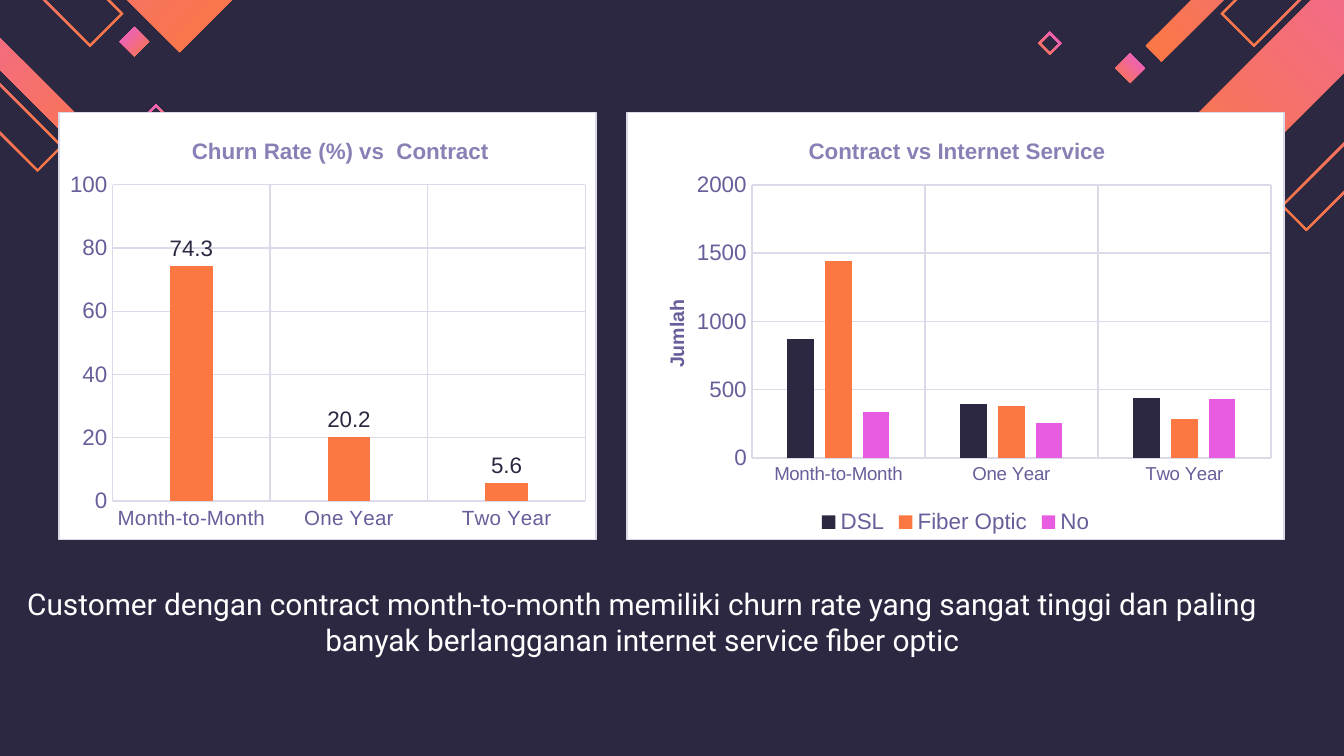
from lxml import etree
from pptx import Presentation
from pptx.chart.data import CategoryChartData
from pptx.dml.color import RGBColor
from pptx.enum.chart import XL_CHART_TYPE, XL_LABEL_POSITION, XL_LEGEND_POSITION, XL_TICK_MARK
from pptx.enum.text import MSO_ANCHOR, PP_ALIGN
from pptx.oxml import parse_xml
from pptx.oxml.ns import nsdecls, qn
from pptx.util import Cm, Pt

COLUMNS = XL_CHART_TYPE.COLUMN_CLUSTERED
NO_TICKS = XL_TICK_MARK.NONE
LABEL_ABOVE = XL_LABEL_POSITION.OUTSIDE_END
LEGEND_BELOW = XL_LEGEND_POSITION.BOTTOM
CENTER = PP_ALIGN.CENTER
MIDDLE = MSO_ANCHOR.MIDDLE

NAVY = RGBColor(0x2D, 0x28, 0x42)
ORANGE = RGBColor(0xFB, 0x78, 0x43)
GRADIENT_PINK = RGBColor(0xE8, 0x5C, 0xDB)
PINK = RGBColor(0xE8, 0x5C, 0xE2)
PURPLE = RGBColor(0x69, 0x5D, 0x9A)
TITLE_PURPLE = RGBColor(0x8A, 0x80, 0xB5)
LILAC = RGBColor(0xDC, 0xD9, 0xE8)
WHITE = RGBColor(0xFF, 0xFF, 0xFF)

CHART_FONT = "Arial"
CONTRACTS = ["Month-to-Month", "One Year", "Two Year"]

# Diagonal bands: long arm, short arm (cm), hollow
WIDE = (6.65, 0.99, False)
FRAME = (4.95, 0.63, True)
SLIM = (5.97, 0.3, False)
LONG_FRAME = (5.64, 0.48, True)
SMALL_FRAME = (0.22, 0.22, True)
DIAMOND = (0.28, 0.28, False)
FRAME_WIDTH = 0.05

# Lowest corner of each band (cm)
LEFT_BANDS = [(3.4, 0.99, WIDE), (1.7, 0.89, FRAME), (2.06, 3.38, SLIM),
              (0.71, 3.25, LONG_FRAME), (2.95, 2.41, SMALL_FRAME), (2.54, 1.07, DIAMOND)]
RIGHT_BANDS = [(23.09, 3.68, WIDE), (23.7, 0.89, FRAME), (21.95, 1.17, SLIM),
               (24.69, 4.37, LONG_FRAME), (19.84, 1.04, SMALL_FRAME), (21.36, 1.57, DIAMOND)]


def band_corners(x, y, long_arm, short_arm, side):
    """Corners of a 45-degree rectangle; side 1 leans left, -1 leans right."""
    corners = [(x, y), (x - side * long_arm, y - long_arm),
               (x - side * (long_arm - short_arm), y - long_arm - short_arm),
               (x + side * short_arm, y - short_arm)]
    return [(Cm(across), Cm(down)) for across, down in corners]


def add_band(page, x, y, kind, side):
    long_arm, short_arm, hollow = kind
    outer = band_corners(x, y, long_arm, short_arm, side)
    builder = page.shapes.build_freeform(*outer[0])
    builder.add_line_segments(outer[1:], close=True)
    if hollow:
        inner = band_corners(x, y - FRAME_WIDTH, long_arm - FRAME_WIDTH,
                             short_arm - FRAME_WIDTH, side)
        builder.move_to(*inner[0])
        builder.add_line_segments(inner[1:], close=True)
    band = builder.convert_to_shape()
    band.shadow.inherit = False
    band.line.fill.background()
    band.fill.gradient()
    band.fill.gradient_angle = 135 if side == 1 else 45
    for stop, color, position in zip(band.fill.gradient_stops, (ORANGE, GRADIENT_PINK), (0, 1)):
        stop.color.rgb = color
        stop.position = position


def style_font(font, size, color, bold=False, name=CHART_FONT):
    font.size, font.bold, font.name = Pt(size), bold, name
    font.color.rgb = color


def layout_xml(x, y, size=None):
    """Manual layout in fractions of the chart; a size fixes the inner plot."""
    values = [("xMode", "edge"), ("yMode", "edge"), ("x", x), ("y", y)]
    if size:
        values = [("layoutTarget", "inner"), *values, ("w", size[0]), ("h", size[1])]
    layout = parse_xml(f"<c:layout {nsdecls('c')}><c:manualLayout/></c:layout>")
    for tag, value in values:
        etree.SubElement(layout[0], qn(f"c:{tag}")).set("val", str(value))
    return layout


def place(element, index, layout):
    for old in element.findall(qn("c:layout")):
        element.remove(old)
    element.insert(index, layout)


def set_title(title, text, size, color, x, y):
    span = title.text_frame.paragraphs[0].add_run()
    span.text = text
    style_font(span.font, size, color, bold=True)
    place(title._element, 1, layout_xml(x, y))


def style_axis(axis, size):
    axis.major_tick_mark = axis.minor_tick_mark = NO_TICKS
    axis.has_major_gridlines = True
    axis.major_gridlines.format.line.color.rgb = LILAC
    axis.major_gridlines.format.line.width = Pt(0.75)
    style_font(axis.tick_labels.font, size, PURPLE)


def add_column_chart(page, left, width, title, title_x, series, plot, top_value, step, label_size):
    data = CategoryChartData()
    data.categories = CONTRACTS
    for name, values, _ in series:
        data.add_series(name, values)
    chart = page.shapes.add_chart(COLUMNS, Cm(left), Cm(2.11), Cm(width), Cm(8.1), data).chart
    style_font(chart.font, 10, NAVY)
    chart.has_legend = False
    chart.has_title = True
    set_title(chart.chart_title, title, 12, TITLE_PURPLE, title_x, 0.05)

    # Columns
    columns = chart.plots[0]
    columns.gap_width, columns.overlap = 267, -43
    columns.vary_by_categories = False
    for column, (_, _, color) in zip(columns.series, series):
        column.format.fill.solid()
        column.format.fill.fore_color.rgb = color

    # Axes
    style_axis(chart.category_axis, label_size)
    chart.category_axis.format.line.color.rgb = LILAC
    chart.category_axis.format.line.width = Pt(0.75)
    axis = chart.value_axis
    style_axis(axis, 12)
    axis.format.line.fill.background()
    axis.minimum_scale, axis.maximum_scale, axis.major_unit = 0, top_value, step

    # Plot position, white background and border
    x, y, *size = plot
    place(chart._chartSpace.chart.plotArea, 0, layout_xml(x, y, size))
    chart._chartSpace.chart.addnext(parse_xml(
        f"<c:spPr {nsdecls('c', 'a')}><a:solidFill><a:srgbClr val='{WHITE}'/></a:solidFill>"
        f"<a:ln w='{Pt(0.75)}'><a:solidFill><a:srgbClr val='{LILAC}'/></a:solidFill></a:ln></c:spPr>"))
    return chart


def add_message(page, text):
    box = page.shapes.add_textbox(Cm(0), Cm(10.77), Cm(24.28), Cm(1.96))
    frame = box.text_frame
    frame.word_wrap = True
    frame.vertical_anchor = MIDDLE
    para = frame.paragraphs[0]
    para.alignment = CENTER
    span = para.add_run()
    span.text = text
    style_font(span.font, 16, WHITE, name="Roboto")


def main():
    deck = Presentation()
    deck.slide_width, deck.slide_height = Cm(25.4), Cm(14.29)
    page = deck.slides.add_slide(deck.slide_layouts[6])
    page.background.fill.solid()
    page.background.fill.fore_color.rgb = NAVY

    # Corner decoration
    for side, bands in ((-1, RIGHT_BANDS), (1, LEFT_BANDS)):
        for x, y, kind in bands:
            add_band(page, x, y, kind, side)

    add_message(page, "Customer dengan contract month-to-month memiliki churn rate yang sangat "
                      "tinggi dan paling banyak berlangganan internet service fiber optic")

    # Churn rate by contract
    churn = add_column_chart(page, 1.1, 10.18, "Churn Rate (%) vs  Contract", 0.24,
                             [("Series 1", (74.3, 20.2, 5.6), ORANGE)],
                             (0.1, 0.17, 0.88, 0.74), 100, 20, 11)
    labels = churn.plots[0].series[0].data_labels
    labels.show_value = True
    labels.position = LABEL_ABOVE
    style_font(labels.font, 12, NAVY)

    # Contract by internet service
    service = add_column_chart(page, 11.84, 12.44, "Contract vs Internet Service", 0.27,
                               [("DSL", (870, 400, 440), NAVY),
                                ("Fiber Optic", (1440, 380, 290), ORANGE),
                                ("No", (340, 260, 430), PINK)],
                               (0.19, 0.17, 0.79, 0.64), 2000, 500, 10)
    set_title(service.value_axis.axis_title, "Jumlah", 10.5, PURPLE, 0.05, 0.43)
    service.has_legend = True
    service.legend.position = LEGEND_BELOW
    service.legend.include_in_layout = False
    style_font(service.legend.font, 12, PURPLE)

    deck.save("out.pptx")


if __name__ == "__main__":
    main()
